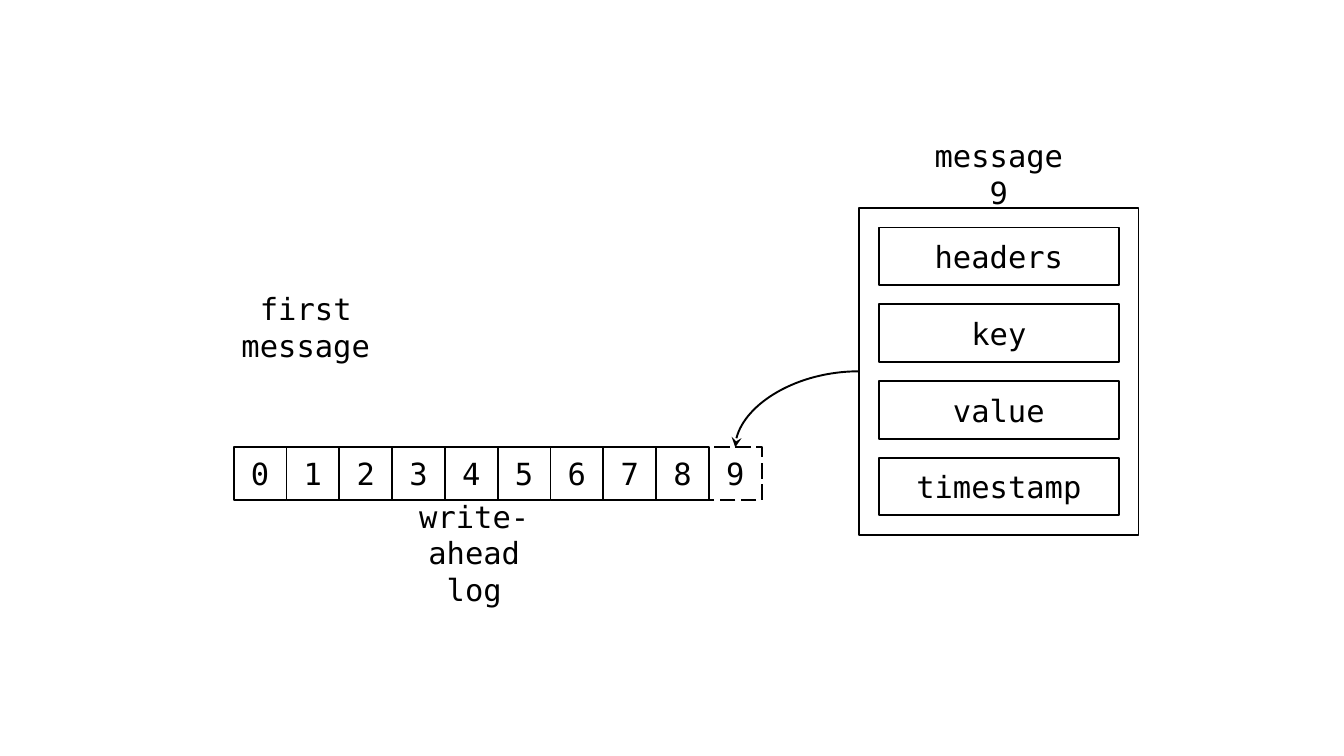
from dataclasses import dataclass

from lxml import etree
from pptx import Presentation
from pptx.dml.color import RGBColor
from pptx.enum.dml import MSO_LINE
from pptx.enum.shapes import MSO_CONNECTOR, MSO_SHAPE
from pptx.enum.text import MSO_ANCHOR, PP_ALIGN
from pptx.oxml.ns import qn
from pptx.util import Cm, Pt

RECT = MSO_SHAPE.RECTANGLE
CURVE = MSO_CONNECTOR.CURVE
LONG_DASH = MSO_LINE.LONG_DASH
MIDDLE = MSO_ANCHOR.MIDDLE
CENTER = PP_ALIGN.CENTER

COLORS = {"ink": "000000", "paper": "FFFFFF"}
FONT = "DejaVu Sans Mono"
FONT_SIZE = Pt(18)
LINE_WIDTH = Pt(1.13)

# Layout in centimetres
LOG_LEFT, LOG_TOP, CELL, LOG_LENGTH = 4.87, 9.32, 1.1, 10
PANEL_LEFT, PANEL_TOP, PANEL_W, PANEL_H = 17.9, 4.33, 5.82, 6.81
FIELD_MARGIN, FIELD_W, FIELD_H, FIELD_PITCH = 0.41, 5.0, 1.2, 1.6
FIELDS = ("headers", "key", "value", "timestamp")
LEFT_SITE, TOP_SITE = 1, 0


@dataclass(frozen=True)
class Box:
    left: float
    top: float
    width: float
    height: float
    text: str = ""
    dashed: bool = False

    def bounds(self) -> tuple:
        return tuple(Cm(v) for v in (self.left, self.top, self.width, self.height))


def write_text(sp, text: str) -> None:
    tf = sp.text_frame
    tf.word_wrap = False
    tf.vertical_anchor = MIDDLE
    p = tf.paragraphs[0]
    p.alignment = CENTER
    r = p.add_run()
    r.text = text
    r.font.name = FONT
    r.font.size = FONT_SIZE
    r.font.color.rgb = RGBColor.from_string(COLORS["ink"])


def style_line(line) -> None:
    line.color.rgb = RGBColor.from_string(COLORS["ink"])
    line.width = LINE_WIDTH


def draw_box(s, box: Box):
    sp = s.shapes.add_shape(RECT, *box.bounds())
    sp.shadow.inherit = False
    sp.fill.background()
    style_line(sp.line)
    if box.dashed:
        sp.line.dash_style = LONG_DASH
    if box.text:
        write_text(sp, box.text)
    return sp


def draw_label(s, box: Box) -> None:
    write_text(s.shapes.add_textbox(*box.bounds()), box.text)


def draw_arrow(s, source, target) -> None:
    arrow = s.shapes.add_connector(CURVE, 0, 0, 0, 0)
    arrow.begin_connect(source, LEFT_SITE)
    arrow.end_connect(target, TOP_SITE)
    style_line(arrow.line)
    etree.SubElement(arrow.line._get_or_add_ln(), qn("a:tailEnd"), type="stealth")
    sp_pr = arrow._element.spPr
    sp_pr.find(qn("a:prstGeom")).set("prst", "curvedConnector2")
    etree.SubElement(sp_pr, qn("a:effectLst"))


def main() -> None:
    prs = Presentation()
    prs.slide_width, prs.slide_height = Cm(28), Cm(15.75)
    s = prs.slides.add_slide(prs.slide_layouts[6])
    s.background.fill.solid()
    s.background.fill.fore_color.rgb = RGBColor.from_string(COLORS["paper"])

    # Log cells, the last one still being written
    cells = [
        draw_box(s, Box(LOG_LEFT + i * CELL, LOG_TOP, CELL, CELL, str(i),
                        dashed=i == LOG_LENGTH - 1))
        for i in range(LOG_LENGTH)
    ]

    # Message panel and its fields
    panel = draw_box(s, Box(PANEL_LEFT, PANEL_TOP, PANEL_W, PANEL_H))
    for i, name in enumerate(FIELDS):
        draw_box(s, Box(PANEL_LEFT + FIELD_MARGIN,
                        PANEL_TOP + FIELD_MARGIN + i * FIELD_PITCH,
                        FIELD_W, FIELD_H, name))

    # Message appended to the log
    draw_arrow(s, panel, cells[-1])

    # Labels
    for label in (
        Box(19.11, 2.92, 3.4, 1.4, "message 9"),
        Box(8.18, 10.75, 3.4, 1.52, "write-ahead log"),
        Box(4.67, 6.05, 3.4, 1.52, "first message"),
    ):
        draw_label(s, label)

    prs.save("out.pptx")


if __name__ == "__main__":
    main()
